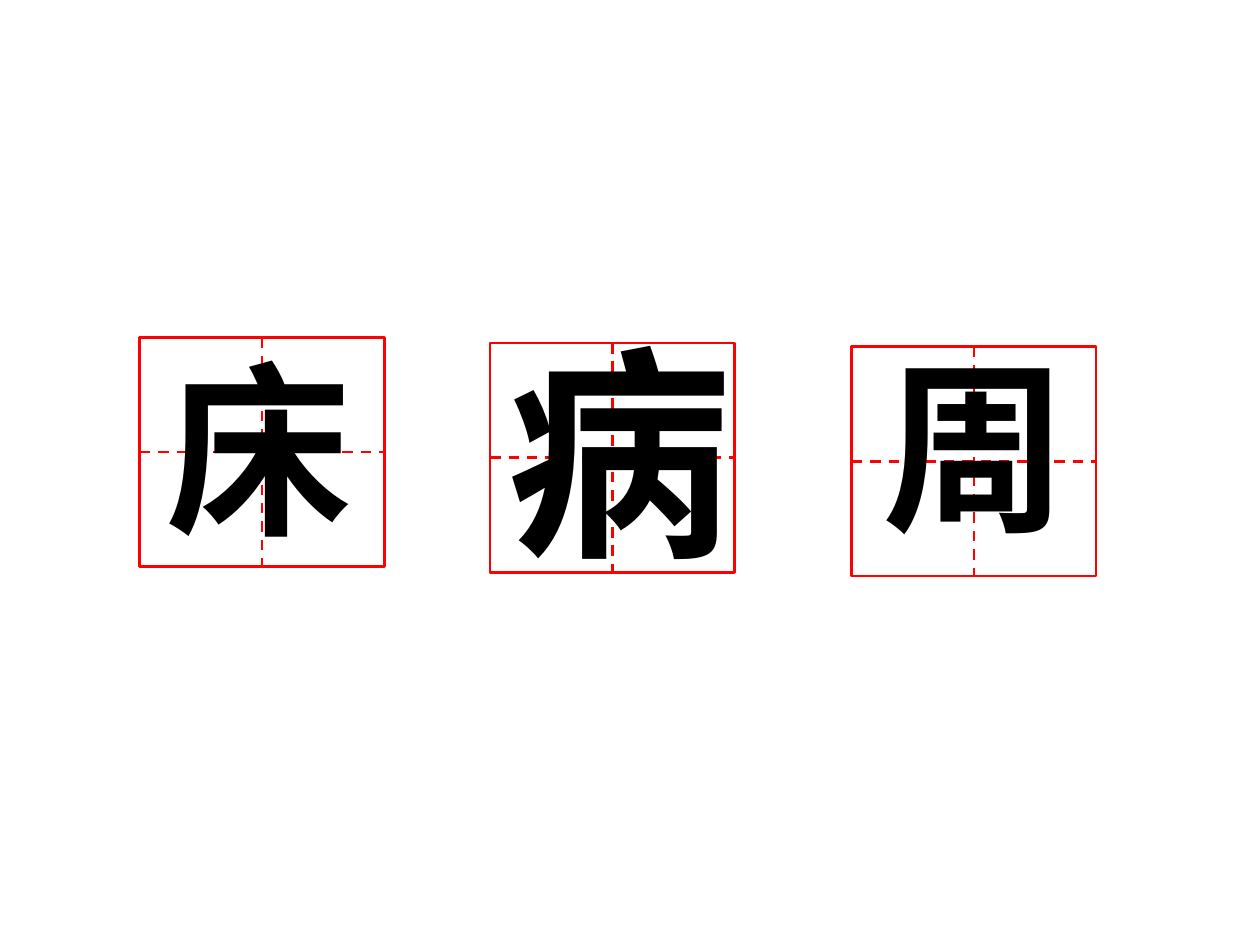
from dataclasses import dataclass
from lxml.etree import SubElement
from pptx import Presentation
from pptx.dml.color import RGBColor
from pptx.enum.dml import MSO_LINE
from pptx.enum.shapes import MSO_CONNECTOR, MSO_SHAPE
from pptx.enum.text import MSO_AUTO_SIZE
from pptx.oxml.ns import qn
from pptx.shapes.autoshape import Shape
from pptx.slide import Slide
from pptx.util import Inches, Pt


@dataclass(frozen=True)
class Theme:
    rule: RGBColor = RGBColor(255, 0, 0)
    ink: RGBColor = RGBColor(0, 0, 0)
    font: str = "Times New Roman"
    line: float = 1.5
    small: int = 106
    large: int = 129


@dataclass(frozen=True)
class Glyph:
    text: str
    size: int
    left: float  # text box, in inches
    top: float
    width: float
    height: float


@dataclass(frozen=True)
class Cell:
    left: float  # shares of the slide's size
    top: float
    glyph: Glyph


THEME = Theme()
WIDTH, HEIGHT = Inches(10), Inches(7.5)
CELL_W, CELL_H = Inches(1.94), Inches(1.82)
CELLS = [
    Cell(0.111, 0.357, Glyph("床", THEME.small, 1.22, 2.61, 1.67, 1.87)),
    Cell(0.389, 0.363, Glyph("病", THEME.large, 3.92, 2.44, 1.99, 2.25)),
    Cell(0.676, 0.367, Glyph("周", THEME.small, 6.91, 2.59, 1.67, 1.87)),
]
TOP, LEFT, BOTTOM, RIGHT = range(4)


def draw_frame(slide: Slide, cell: Cell) -> Shape:
    frame = slide.shapes.add_shape(
        MSO_SHAPE.RECTANGLE, int(WIDTH * cell.left), int(HEIGHT * cell.top),
        CELL_W, CELL_H)
    frame.shadow.inherit = False
    frame.fill.background()
    frame.line.color.rgb = THEME.rule
    frame.line.width = Pt(THEME.line)
    return frame


def draw_guide(slide: Slide, frame: Shape, start: int, end: int) -> None:
    guide = slide.shapes.add_connector(MSO_CONNECTOR.STRAIGHT, 0, 0, 0, 0)
    guide.begin_connect(frame, start)
    guide.end_connect(frame, end)
    guide.line.color.rgb = THEME.rule
    guide.line.width = Pt(THEME.line)
    guide.line.dash_style = MSO_LINE.DASH
    SubElement(guide._element.spPr, qn("a:effectLst"))


def draw_glyph(slide: Slide, glyph: Glyph) -> None:
    box = slide.shapes.add_textbox(
        Inches(glyph.left), Inches(glyph.top),
        Inches(glyph.width), Inches(glyph.height))
    frame = box.text_frame
    frame.word_wrap = False
    frame.auto_size = MSO_AUTO_SIZE.SHAPE_TO_FIT_TEXT
    para = frame.paragraphs[0]
    para.text = glyph.text
    para.font.name = THEME.font
    para.font.size = Pt(glyph.size)
    para.font.bold = True
    para.font.color.rgb = THEME.ink


def main() -> None:
    deck = Presentation()
    deck.slide_width, deck.slide_height = WIDTH, HEIGHT
    slide = deck.slides.add_slide(deck.slide_layouts[6])

    # Writing squares: frame, dashed cross, character
    for cell in CELLS:
        frame = draw_frame(slide, cell)
        draw_guide(slide, frame, LEFT, RIGHT)
        draw_guide(slide, frame, TOP, BOTTOM)
        draw_glyph(slide, cell.glyph)

    deck.save("out.pptx")


if __name__ == "__main__":
    main()
